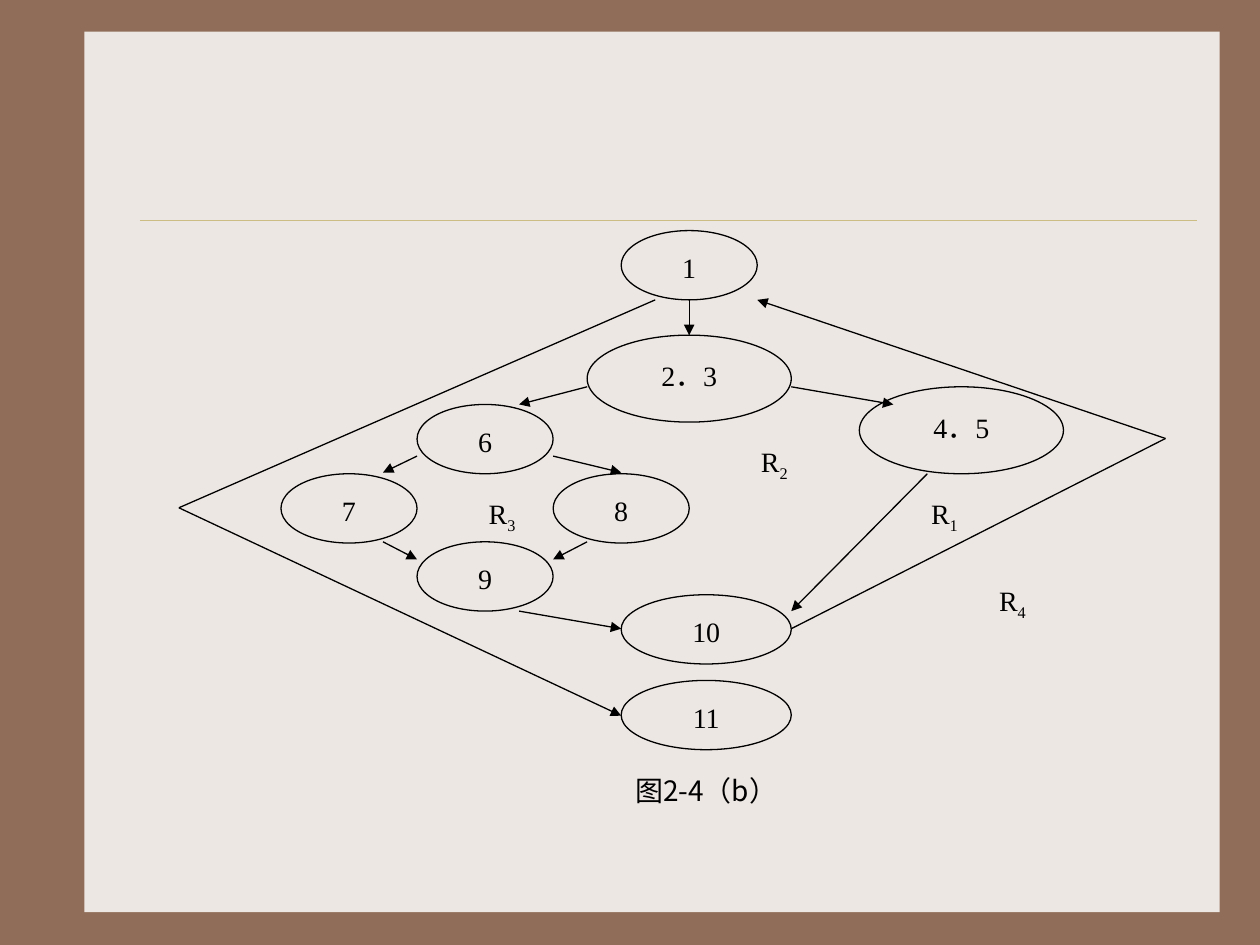
from lxml.etree import SubElement
from pptx import Presentation
from pptx.dml.color import RGBColor
from pptx.enum.shapes import MSO_CONNECTOR, MSO_SHAPE
from pptx.enum.text import PP_ALIGN
from pptx.oxml.ns import qn
from pptx.util import Inches, Pt

COLORS = {"border": "906D58", "panel": "EDE7E3", "rule": "CBBD83", "ink": "000000"}
LATIN, CJK = "Times New Roman", "Noto Sans CJK SC"

SMALL, MEDIUM, LARGE = (1.08, 0.55), (1.35, 0.55), (1.62, 0.69)
NODES = [
    ("1", 4.93, 1.83, SMALL),
    ("6", 3.31, 3.21, SMALL),
    ("2．3", 4.66, 2.66, LARGE),
    ("9", 3.31, 4.3, SMALL),
    ("10", 4.93, 4.72, MEDIUM),
    ("8", 4.39, 3.76, SMALL),
    ("11", 4.93, 5.4, MEDIUM),
    ("7", 2.23, 3.76, SMALL),
    ("4．5", 6.82, 3.07, LARGE),
]
ARROWS = [
    ((5.47, 2.38), (5.47, 2.66)),
    ((4.66, 3.07), (4.12, 3.21)),
    ((3.31, 3.62), (3.04, 3.75)),
    ((4.39, 3.62), (4.93, 3.75)),
    ((3.04, 4.3), (3.31, 4.44)),
    ((4.66, 4.3), (4.39, 4.44)),
    ((6.28, 3.07), (7.09, 3.21)),
    ((4.12, 4.85), (4.93, 4.99)),
    ((1.42, 4.03), (4.93, 5.68)),
    ((9.25, 3.48), (6.01, 2.38)),
    ((7.36, 3.76), (6.28, 4.85)),
]
PLAIN_LINES = [((5.2, 2.38), (1.42, 4.03)), ((6.28, 4.99), (9.25, 3.48))]
REGIONS = [("3", 3.58, 3.89), ("2", 5.74, 3.48), ("1", 7.09, 3.89), ("4", 7.63, 4.58)]
CAPTION = "图2-4（b）"


def color(name):
    return RGBColor.from_string(COLORS[name])


def add_text(page, left, top, width, height, text, subscript="", font=LATIN):
    box = page.shapes.add_textbox(Inches(left), Inches(top), Inches(width), Inches(height))
    box.text_frame.word_wrap = True
    para = box.text_frame.paragraphs[0]
    para.alignment = PP_ALIGN.CENTER
    for part in filter(None, (text, subscript)):
        span = para.add_run()
        span.text = part
        span.font.size = Pt(16)
        span.font.color.rgb = color("ink")
        span.font.name = font
        properties = span._r.get_or_add_rPr()
        SubElement(properties, qn("a:ea")).set("typeface", CJK)
        if part == subscript:
            properties.set("baseline", "-25000")


def add_line(page, start, end, arrow=False, ink="ink", weight=0.75):
    points = [Inches(value) for value in (*start, *end)]
    line = page.shapes.add_connector(MSO_CONNECTOR.STRAIGHT, *points)
    line.line.color.rgb = color(ink)
    line.line.width = Pt(weight)
    if arrow:
        SubElement(line.line._get_or_add_ln(), qn("a:tailEnd")).set("type", "triangle")
    SubElement(line._element.spPr, qn("a:effectLst"))


def add_node(page, label, left, top, size):
    width, height = size
    oval = page.shapes.add_shape(
        MSO_SHAPE.OVAL, Inches(left), Inches(top), Inches(width), Inches(height)
    )
    oval.shadow.inherit = False
    oval.fill.background()
    oval.line.color.rgb = color("ink")
    oval.line.width = Pt(0.75)
    add_text(page, left + width / 4, top + height / 5, width / 2, height * 0.6, label)


def main():
    deck = Presentation()
    deck.slide_width, deck.slide_height = Inches(10), Inches(7.5)
    page = deck.slides.add_slide(deck.slide_layouts[6])
    page.background.fill.solid()
    page.background.fill.fore_color.rgb = color("border")

    panel = page.shapes.add_shape(
        MSO_SHAPE.RECTANGLE, Inches(0.67), Inches(0.25), Inches(9.01), Inches(6.99)
    )
    panel.shadow.inherit = False
    panel.fill.solid()
    panel.fill.fore_color.rgb = color("panel")
    panel.line.fill.background()
    add_line(page, (1.11, 1.75), (9.5, 1.75), ink="rule", weight=0.25)

    for node in NODES:
        add_node(page, *node)
    for start, end in ARROWS:
        add_line(page, start, end, arrow=True)
    for start, end in PLAIN_LINES:
        add_line(page, start, end)
    for number, left, top in REGIONS:
        add_text(page, left, top, 0.81, 0.41, "R", number)
    add_text(page, 4.66, 6.09, 1.89, 0.41, CAPTION, font=CJK)

    deck.save("out.pptx")


if __name__ == "__main__":
    main()
